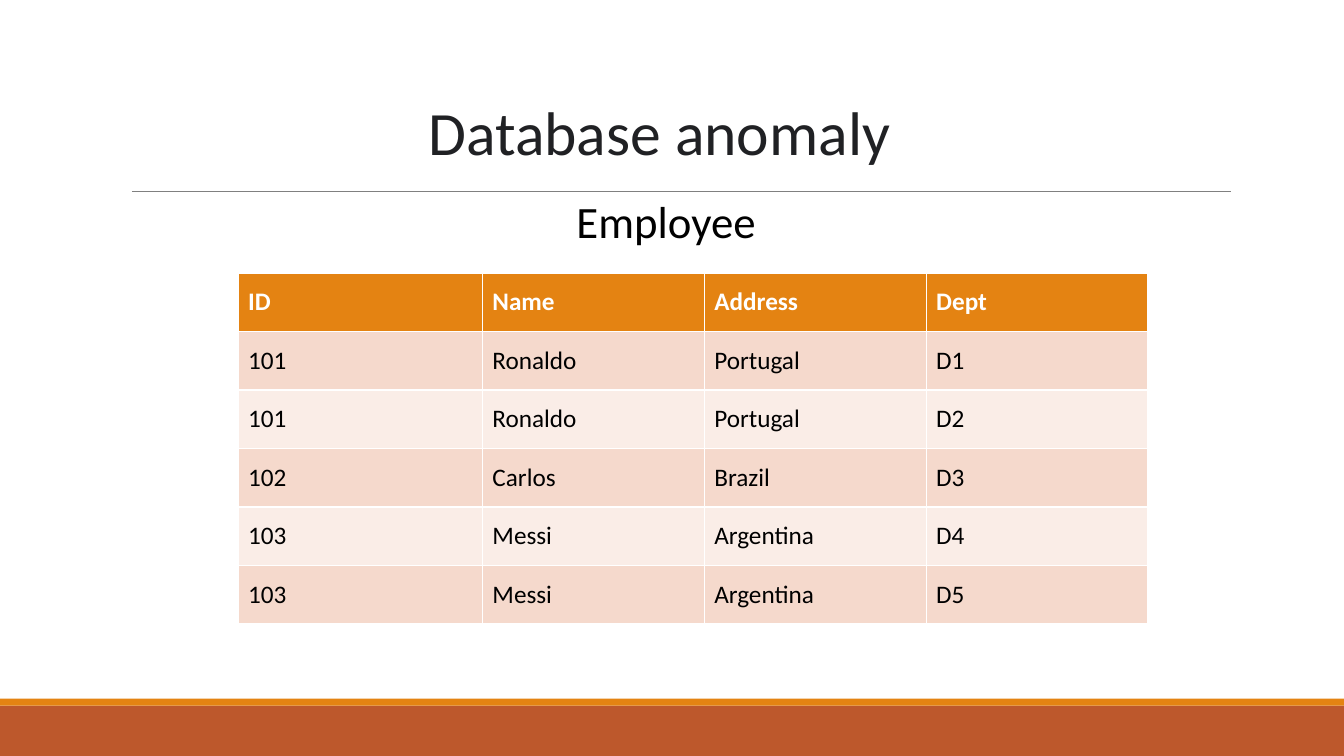
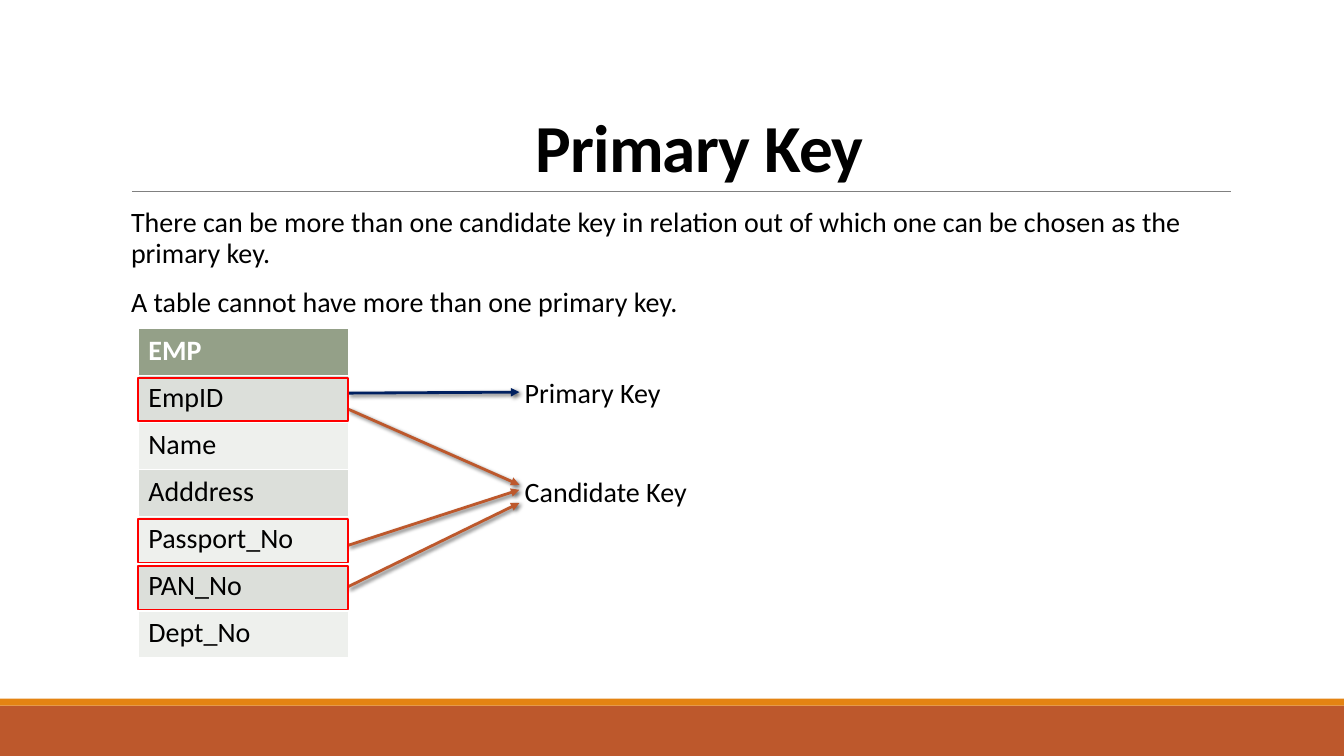
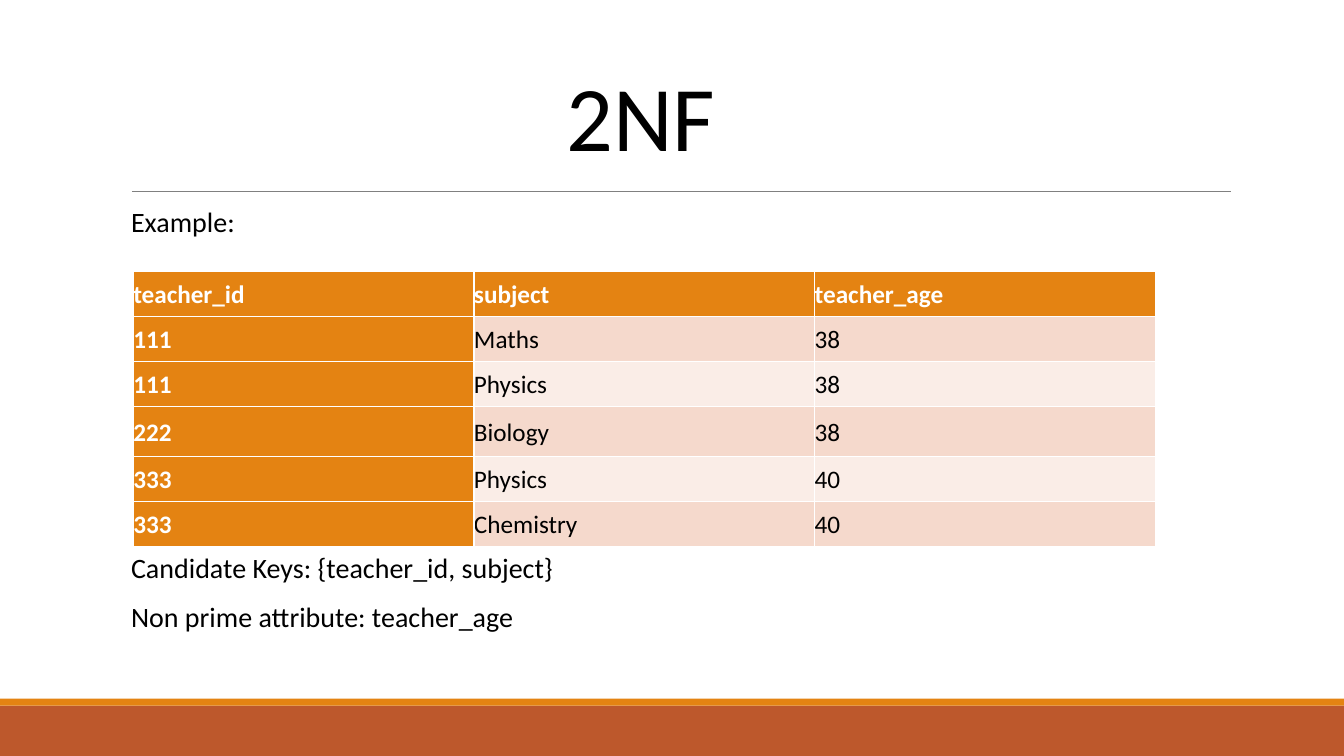
from pptx import Presentation
from pptx.dml.color import RGBColor
from pptx.enum.shapes import MSO_CONNECTOR, MSO_SHAPE
from pptx.enum.text import MSO_ANCHOR, MSO_AUTO_SIZE
from pptx.oxml import parse_xml
from pptx.oxml.ns import nsdecls, qn
from pptx.util import Pt

FONT = "Calibri"
COLORS = {
    "rust": "BD582C", "orange": "E48312", "rule": "808080",
    "black": "000000", "ink": "202124", "white": "FFFFFF",
    "navy": "002060", "red": "FF0000",
}
ORANGE_TABLE = {"head": "E48312", "bands": ("F5D9CC", "FAEDE7")}
GREEN_TABLE = {"head": "94A088", "bands": ("DCDFDA", "EEF0ED")}
WIDTH, HEIGHT = 960, 540
BODY_BOX = (93.6, 145.4, 784.8, 316.8)


def rgb(value):
    return RGBColor.from_string(COLORS.get(value, value))


def points(*values):
    return [Pt(value) for value in values]


def write(frame, *lines, size=20, color="black", bold=False, line_spacing=None,
          before=0, after=0, tracking=0):
    """Fill a text frame, one paragraph for each line."""
    for index, line in enumerate(lines):
        para = frame.add_paragraph() if index else frame.paragraphs[0]
        para.space_before, para.space_after = points(before, after)
        if line_spacing:
            para.line_spacing = line_spacing
        span = para.add_run()
        span.text = line
        span.font.name, span.font.size = FONT, Pt(size)
        span.font.bold, span.font.color.rgb = bold, rgb(color)
        if tracking:
            span.font._element.set("spc", str(int(tracking * 100)))


def place(shape, box, anchor=MSO_ANCHOR.TOP, side=7.2, wrap=True):
    """Move a text shape to a box and return its text frame."""
    shape.left, shape.top, shape.width, shape.height = points(*box)
    frame = shape.text_frame
    frame.word_wrap, frame.auto_size = wrap, MSO_AUTO_SIZE.NONE
    frame.vertical_anchor = anchor
    frame.margin_left = frame.margin_right = Pt(side)
    frame.margin_top = frame.margin_bottom = Pt(3.6)
    return frame


def add_title(page, text, box, anchor=MSO_ANCHOR.TOP, **style):
    write(place(page.shapes.title, box, anchor), text, **style)


def add_body(page, *lines):
    frame = place(page.placeholders[1], BODY_BOX, side=0)
    write(frame, *lines, line_spacing=0.9, before=12, after=2)
    return frame


def add_rect(page, box, fill=None, line=None):
    rect = page.shapes.add_shape(MSO_SHAPE.RECTANGLE, *points(*box))
    rect.shadow.inherit = False
    if fill:
        rect.fill.solid()
        rect.fill.fore_color.rgb = rgb(fill)
    else:
        rect.fill.background()
    if line:
        rect.line.color.rgb, rect.line.width = rgb(line), Pt(1.25)
    else:
        rect.line.fill.background()
    return rect


def add_line(page, start, end, color, width, arrow=False):
    """Draw a plain rule, or an arrow with a soft shadow."""
    line = page.shapes.add_connector(MSO_CONNECTOR.STRAIGHT, *points(*start, *end))
    line.line.color.rgb, line.line.width = rgb(color), Pt(width)
    effects = parse_xml(f"<a:effectLst {nsdecls('a')}/>")
    if arrow:
        line.line._get_or_add_ln().append(
            parse_xml(f'<a:tailEnd {nsdecls("a")} type="triangle"/>'))
        effects.append(parse_xml(
            f'<a:outerShdw {nsdecls("a")} blurRad="38100" dist="25400" dir="2700000">'
            '<a:srgbClr val="000000"><a:alpha val="60000"/></a:srgbClr></a:outerShdw>'))
    line.element.spPr.append(effects)
    return line


def add_grid(page, box, rows, widths, heights, palette, size=18, side=7.2, pad=3.6,
             anchor=MSO_ANCHOR.MIDDLE, line_spacing=None, key_column=False):
    """Add a banded table; its white borders come from the default table style."""
    left, top = box
    table = page.shapes.add_table(
        len(rows), len(widths), *points(left, top, sum(widths), sum(heights))).table
    table.first_col = key_column
    for column, width in zip(table.columns, widths):
        column.width = Pt(width)
    for r, (row, height) in enumerate(zip(rows, heights)):
        table.rows[r].height = Pt(height)
        for c, text in enumerate(row):
            cell = table.cell(r, c)
            head = r == 0 or (key_column and c == 0)
            cell.fill.solid()
            cell.fill.fore_color.rgb = rgb(
                palette["head"] if head else palette["bands"][(r - 1) % 2])
            cell.margin_left = cell.margin_right = Pt(side)
            cell.margin_top = cell.margin_bottom = Pt(pad)
            cell.vertical_anchor = anchor
            write(cell.text_frame, text, size=size, bold=head,
                  color="white" if head else "black", line_spacing=line_spacing)


def style_master(deck, page):
    """Put the bands, the rule and the plain text styles on the slide master."""
    master = deck.slide_master
    parts = [
        add_rect(page, (0, 504, WIDTH, 36), fill="rust"),
        add_rect(page, (0, 499, WIDTH, 5), fill="orange"),
        add_line(page, (94.3, 136.8), (879, 136.8), "rule", 0.5),
    ]
    for offset, part in enumerate(parts):
        master.shapes.element.insert(2 + offset, part.element)
    styles = master.element.find(qn("p:txStyles"))
    styles.find(f"{qn('p:titleStyle')}/{qn('a:lvl1pPr')}").set("algn", "l")
    level = styles.find(f"{qn('p:bodyStyle')}/{qn('a:lvl1pPr')}")
    level.set("marL", "0")
    level.set("indent", "0")
    level.replace(level.find(qn("a:buChar")), parse_xml(f"<a:buNone {nsdecls('a')}/>"))


def anomaly_slide(page):
    add_title(page, "Database anomaly", (298.8, 63.4, 386, 60.5), size=44, color="ink")
    write(place(page.placeholders[1], (404.6, 134.6, 150.5, 46), wrap=False),
          "Employee", size=32)
    rows = [
        ("ID", "Name", "Address", "Dept"),
        ("101", "Ronaldo", "Portugal", "D1"),
        ("101", "Ronaldo", "Portugal", "D2"),
        ("102", "Carlos", "Brazil", "D3"),
        ("103", "Messi", "Argentina", "D4"),
        ("103", "Messi", "Argentina", "D5"),
    ]
    add_grid(page, (170, 195), rows, [174.6] + [158.5] * 3, [41.8] * 6, ORANGE_TABLE)


def key_diagram(page, box):
    """Draw the EMP table with its key fields marked and joined to their labels."""
    left, top, width, height = box
    fields = ["EMP", "EmpID", "Name", "Adddress", "Passport_No", "PAN_No", "Dept_No"]
    row = height / len(fields)
    add_grid(page, (left, top), [(field,) for field in fields], [width],
             [row] * len(fields), GREEN_TABLE, size=20, anchor=MSO_ANCHOR.TOP)
    arrows = [(57.6, 111.6, "rust"), (154.8, 115.2, "rust"),
              (184.3, 124.6, "rust"), (46.1, 45.4, "navy")]
    for start, end, color in arrows:
        add_line(page, (left + width, top + start), (left + 272.2, top + end),
                 color, 2, arrow=True)
    for field in ("EmpID", "Passport_No", "PAN_No"):
        field_top = top + fields.index(field) * row
        add_rect(page, (left, field_top + 1.5, width, row - 2.5), line="red")
    for text, middle in (("Primary Key", 45.4), ("Candidate Key", 116)):
        label = page.shapes.add_textbox(0, 0, 0, 0)
        frame = place(label, (left + 276, top + middle - 16, 150, 32),
                      MSO_ANCHOR.MIDDLE, side=0)
        write(frame, text)


def primary_key_slide(page):
    add_title(page, "Primary Key", (375, 22.3, 440, 114.5), MSO_ANCHOR.BOTTOM,
              size=48, bold=True, line_spacing=0.85, tracking=-0.5)
    add_body(page,
             "There can be more than one candidate key in relation out of which "
             "one can be chosen as the primary key.",
             "A table cannot have more than one primary key.")
    key_diagram(page, (98.8, 234.7, 150, 235.4))


def second_form_slide(page):
    add_title(page, "2NF", (397.5, 38.9, 172.8, 87), size=66)
    frame = add_body(page, "Example:", "Candidate Keys: {teacher_id, subject}",
                     "Non prime attribute: teacher_age")
    frame.paragraphs[1].space_before = Pt(223)
    rows = [
        ("teacher_id", "subject", "teacher_age"),
        ("111", "Maths", "38"),
        ("111", "Physics", "38"),
        ("222", "Biology", "38"),
        ("333", "Physics", "40"),
        ("333", "Chemistry", "40"),
    ]
    heights = [32.2] * 3 + [36] + [32.2] * 2
    add_grid(page, (95.2, 193.7), rows, [243.4] * 3, heights, ORANGE_TABLE,
             side=0, pad=4.3, line_spacing=1.07, key_column=True)


def main():
    deck = Presentation()
    deck.slide_width, deck.slide_height = points(WIDTH, HEIGHT)
    layout = deck.slide_layouts[1]
    builders = (anomaly_slide, primary_key_slide, second_form_slide)
    pages = [deck.slides.add_slide(layout) for _ in builders]
    style_master(deck, pages[0])
    for build, page in zip(builders, pages):
        build(page)
    deck.save("out.pptx")


if __name__ == "__main__":
    main()
